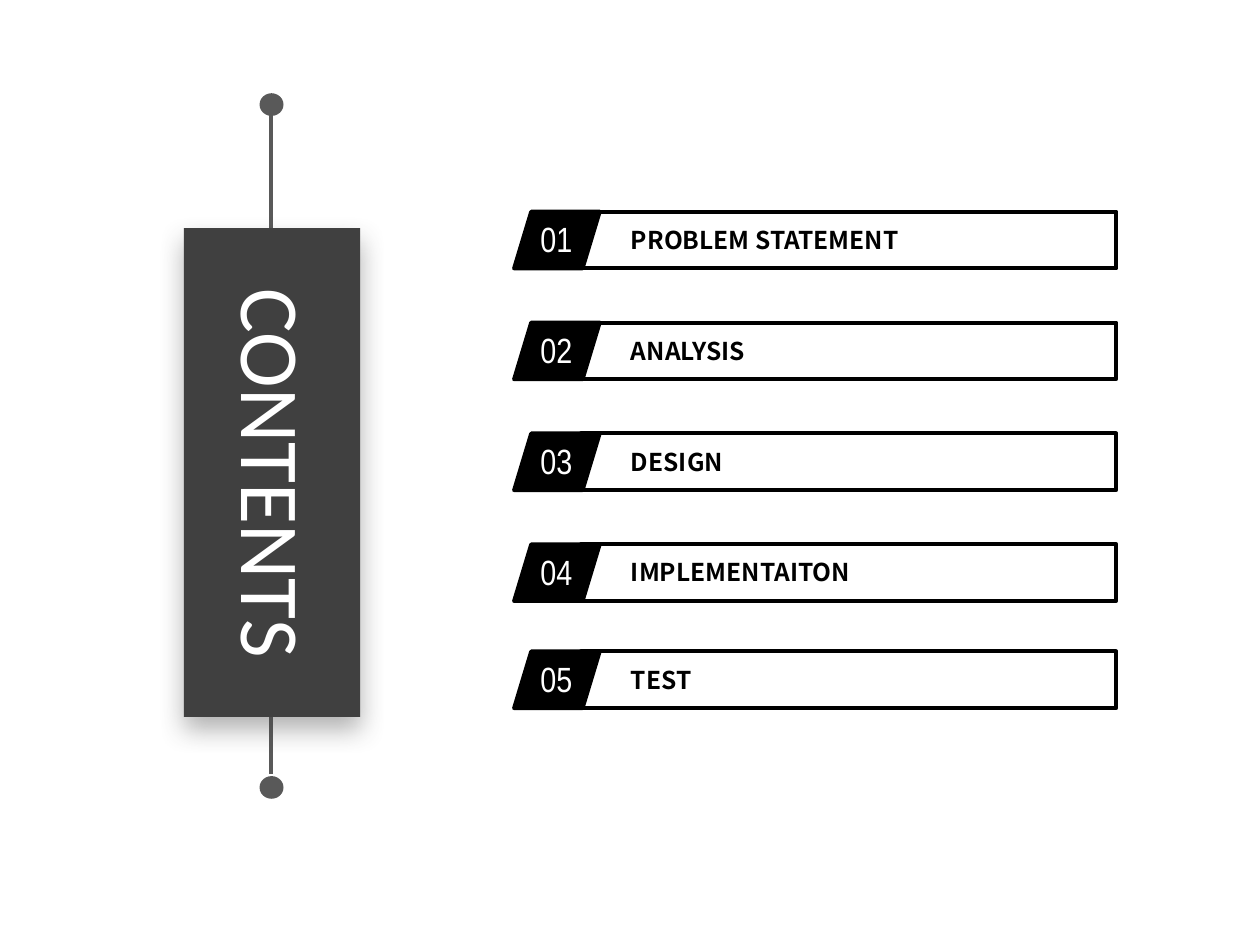
from lxml.etree import SubElement
from pptx import Presentation
from pptx.dml.color import RGBColor
from pptx.enum.shapes import MSO_CONNECTOR, MSO_SHAPE
from pptx.enum.text import MSO_AUTO_SIZE, PP_ALIGN
from pptx.oxml.ns import qn
from pptx.util import Inches, Pt

COLORS = {"ink": "000000", "panel": "404040", "pin": "595959", "light": "FFFFFF"}
CELL = Inches(0.1)  # square grid: 100 columns by 75 rows
COLUMNS, ROWS = 100, 75


def draw(parent, preset, box, fill=None, line=None, rotation=0):
    """Add a preset shape; box is left, top, width, height in grid cells."""
    shape = parent.shapes.add_shape(preset, *(round(n * CELL) for n in box))
    shape.shadow.inherit = False
    shape.rotation = rotation
    if fill:
        shape.fill.solid()
        shape.fill.fore_color.rgb = RGBColor.from_string(COLORS[fill])
    else:
        shape.fill.background()
    if line:
        shape.line.color.rgb = RGBColor.from_string(COLORS[line])
        shape.line.width = Pt(2.25)
    else:
        shape.line.fill.background()
    return shape


def write(parent, text, box, font, size, color, bold=False, align=PP_ALIGN.LEFT, rotation=0):
    label = parent.shapes.add_textbox(*(round(n * CELL) for n in box))
    label.rotation = rotation
    frame = label.text_frame
    frame.word_wrap = True
    frame.auto_size = MSO_AUTO_SIZE.SHAPE_TO_FIT_TEXT
    paragraph = frame.paragraphs[0]
    paragraph.alignment = align
    run = paragraph.add_run()
    run.text = text
    run.font.name, run.font.size, run.font.bold = font, Pt(size), bold
    run.font.color.rgb = RGBColor.from_string(COLORS[color])


deck = Presentation()
deck.slide_width, deck.slide_height = COLUMNS * CELL, ROWS * CELL
slide = deck.slides.add_slide(deck.slide_layouts[6])

# Pin line with a dot at each end, behind the title panel
pin = slide.shapes.add_group_shape()
stem = pin.shapes.add_connector(
    MSO_CONNECTOR.STRAIGHT, *(round(n * CELL) for n in (21.5, 8.8, 21.5, 61.4)))
stem.line.color.rgb = RGBColor.from_string(COLORS["pin"])
stem.line.width = Pt(2.25)
SubElement(stem.element.spPr, qn("a:effectLst"))
for dot_top in (7.4, 61.6):
    draw(pin, MSO_SHAPE.OVAL, (20.6, dot_top, 1.9, 1.8), fill="pin")

# Title panel with a soft shadow below
panel = draw(slide, MSO_SHAPE.RECTANGLE, (2.2, 30.5, 38.8, 14), fill="panel", rotation=270)
effects = panel.element.spPr.find(qn("a:effectLst"))
shadow = SubElement(effects, qn("a:outerShdw"), blurRad=str(Pt(15)), dist=str(Pt(7)),
                    dir="5400000", algn="t", rotWithShape="0")
shadow_color = SubElement(shadow, qn("a:srgbClr"), val=COLORS["panel"])
SubElement(shadow_color, qn("a:alpha"), val="40000")
write(slide, "CONTENTS", (0.9, 33, 41.8, 9.1), font="Calibri", size=48, color="light",
      align=PP_ALIGN.CENTER, rotation=90)

# Agenda entries
FIRST_TOP, STEP, BAR_HEIGHT = 16.8, 8.8, 4.5
topics = ["PROBLEM STATEMENT", "ANALYSIS", "DESIGN", "IMPLEMENTAITON", "TEST"]
for index, topic in enumerate(topics):
    top = FIRST_TOP + index * STEP
    if index == len(topics) - 1:
        top -= 0.3  # the last entry sits slightly closer
    entry = slide.shapes.add_group_shape()
    draw(entry, MSO_SHAPE.FLOWCHART_DATA, (40.8, top, 6.8, BAR_HEIGHT), fill="ink", line="ink")
    write(entry, f"{index + 1:02}", (41.9, top, 5.7, 4.4),
          font="Arial Narrow", size=20, color="light")
    draw(entry, MSO_SHAPE.RECTANGLE, (46.1, top, 42.5, BAR_HEIGHT), line="ink")
    write(entry, topic, (49.1, top + 0.55, 31.4, 3.4),
          font="Noto Sans CJK SC", size=14, color="ink", bold=True)

deck.save("out.pptx")
